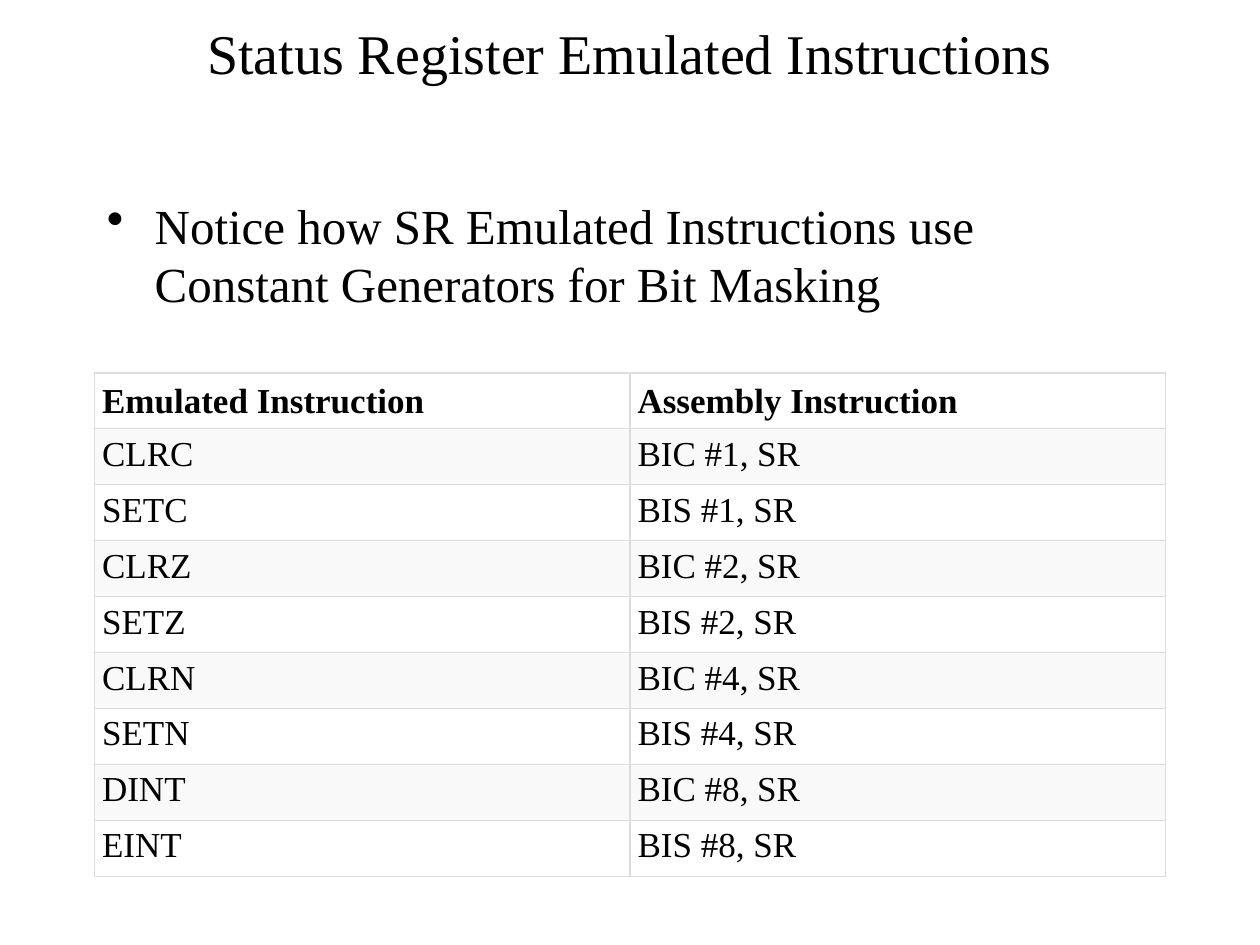
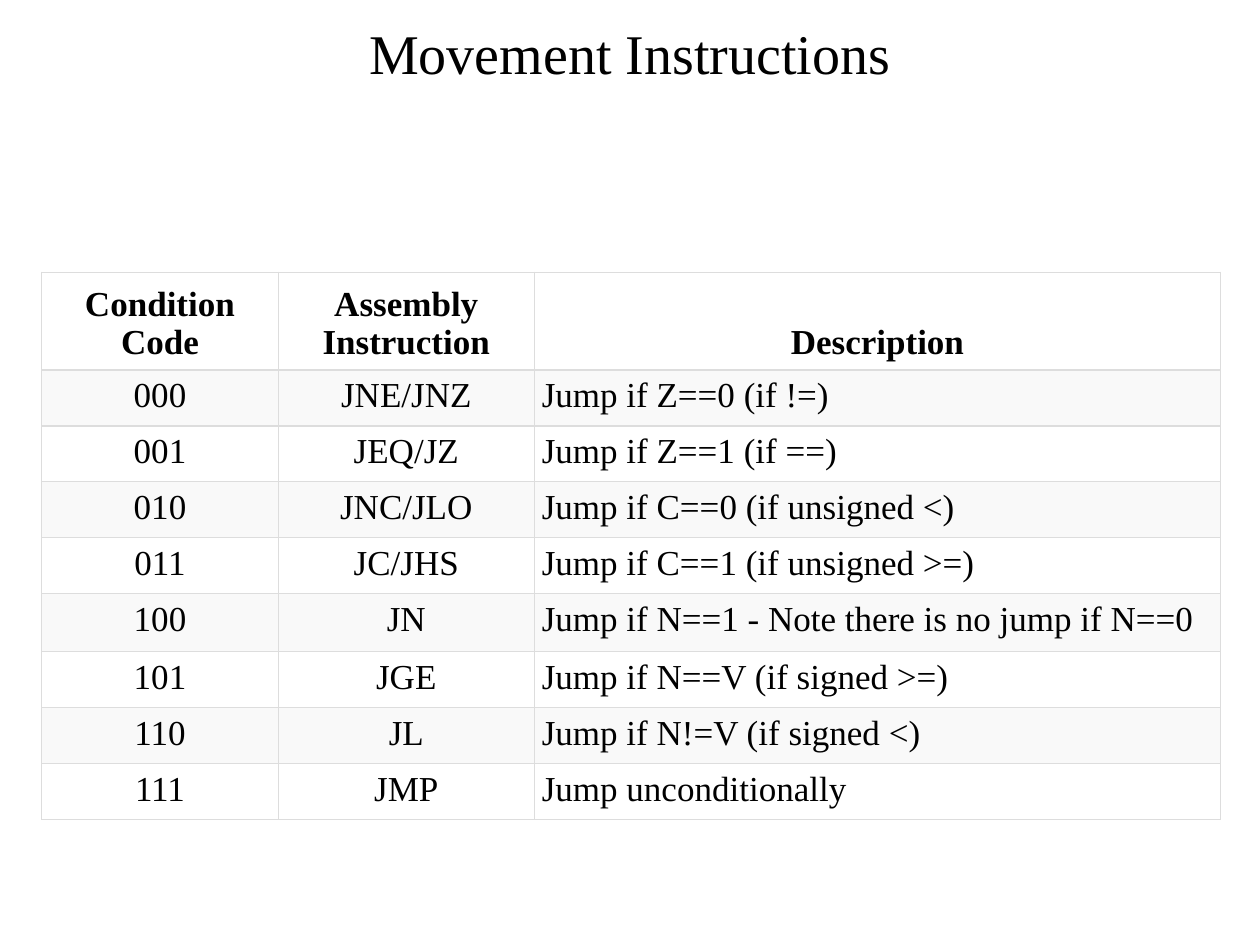
import pptx
import pptx.dml.color
import pptx.enum.text
import pptx.oxml
import pptx.oxml.ns
import pptx.util
from pptx.util import Inches

FONT = "Times New Roman"
BLACK, WHITE, STRIPE, BORDER = "000000", "FFFFFF", "F9F9F9", "DDDDDD"
LEFT = pptx.enum.text.PP_ALIGN.LEFT
CENTER = pptx.enum.text.PP_ALIGN.CENTER
TOP = pptx.enum.text.MSO_ANCHOR.TOP
MIDDLE = pptx.enum.text.MSO_ANCHOR.MIDDLE
BOTTOM = pptx.enum.text.MSO_ANCHOR.BOTTOM

ROW_HEIGHT = 3.82 / 9
CELL_MARGIN, CELL_MARGIN_TOP = 0.06, 0.05
CONTENT_LEFT, CONTENT_WIDTH = 0.75, 8.5

STATUS_ROWS = [
    ("Emulated Instruction", "Assembly Instruction"),
    ("CLRC", "BIC #1, SR"),
    ("SETC", "BIS #1, SR"),
    ("CLRZ", "BIC #2, SR"),
    ("SETZ", "BIS #2, SR"),
    ("CLRN", "BIC #4, SR"),
    ("SETN", "BIS #4, SR"),
    ("DINT", "BIC #8, SR"),
    ("EINT", "BIS #8, SR"),
]

JUMP_ROWS = [
    ("Condition Code", "Assembly Instruction", "Description"),
    ("000", "JNE/JNZ", "Jump if Z==0 (if\u00a0!=)"),
    ("001", "JEQ/JZ", "Jump if Z==1 (if\u00a0==)"),
    ("010", "JNC/JLO", "Jump if C==0 (if unsigned\u00a0<)"),
    ("011", "JC/JHS", "Jump if C==1 (if unsigned\u00a0>=)"),
    ("100", "JN", "Jump if N==1 - Note there is no jump if N==0"),
    ("101", "JGE", "Jump if N==V (if signed\u00a0>=)"),
    ("110", "JL", "Jump if N!=V (if signed\u00a0<)"),
    ("111", "JMP", "Jump unconditionally"),
]


def color(hex_value):
    """Turn a hex string into a colour."""
    return pptx.dml.color.RGBColor.from_string(hex_value)


def write_text(text_frame, text, size, alignment=LEFT, bold=False):
    """Write one formatted paragraph and return it."""
    text_frame.text = text
    paragraph = text_frame.paragraphs[0]
    paragraph.alignment = alignment
    for run in paragraph.runs:
        run.font.name = FONT
        run.font.size = pptx.util.Pt(size)
        run.font.bold = bold
        run.font.color.rgb = color(BLACK)
    return paragraph


def add_text_box(slide, top, height, anchor):
    """Add a wrapping text box across the content width; return its frame."""
    shape = slide.shapes.add_textbox(
        Inches(CONTENT_LEFT), Inches(top), Inches(CONTENT_WIDTH), Inches(height))
    text_frame = shape.text_frame
    text_frame.word_wrap = True
    text_frame.vertical_anchor = anchor
    return text_frame


def add_titled_slide(presentation, title):
    """Add a blank slide with the shared centred title."""
    slide = presentation.slides.add_slide(presentation.slide_layouts[6])
    write_text(add_text_box(slide, 0.16, 0.5, MIDDLE), title, 32, CENTER)
    return slide


def add_bullet(slide, text):
    """Add the body text as one bullet with a hanging indent."""
    paragraph = write_text(add_text_box(slide, 1.5, 5.17, TOP), text, 28)
    paragraph.space_before = pptx.util.Pt(4)
    properties = paragraph._p.get_or_add_pPr()
    indent = Inches(0.38)
    properties.set("marL", str(indent))
    properties.set("indent", str(-indent))
    bullet = pptx.oxml.parse_xml(
        f'<a:buChar {pptx.oxml.ns.nsdecls("a")} char="\u2022"/>')
    properties.append(bullet)


def set_borders(cell):
    """Draw a thin border on all four sides of a cell."""
    properties = cell._tc.get_or_add_tcPr()
    for side in ("lnL", "lnR", "lnT", "lnB"):
        properties.append(pptx.oxml.parse_xml(
            f'<a:{side} {pptx.oxml.ns.nsdecls("a")} w="{pptx.util.Pt(0.75)}">'
            f'<a:solidFill><a:srgbClr val="{BORDER}"/></a:solidFill></a:{side}>'))


def format_cell(cell, text, alignment, is_header, fill):
    """Fill, border and write one table cell."""
    set_borders(cell)
    cell.fill.solid()
    cell.fill.fore_color.rgb = color(fill)
    cell.margin_left = cell.margin_right = cell.margin_bottom = Inches(CELL_MARGIN)
    cell.margin_top = Inches(CELL_MARGIN_TOP)
    cell.vertical_anchor = BOTTOM if is_header else TOP
    write_text(cell.text_frame, text, 20, alignment, is_header)


def add_striped_table(slide, left, top, rows, widths, row_heights,
                      header_alignment, alignments):
    """Add a table with a bold header and every other row shaded."""
    shape = slide.shapes.add_table(
        len(rows), len(widths), Inches(left), Inches(top),
        Inches(sum(widths)), Inches(sum(row_heights)))
    table = shape.table
    table.first_row = table.horz_banding = False
    for column, width in zip(table.columns, widths):
        column.width = Inches(width)
    for row_index, (values, height) in enumerate(zip(rows, row_heights)):
        table.rows[row_index].height = Inches(height)
        is_header = row_index == 0
        fill = STRIPE if row_index % 2 else WHITE
        for column_index, text in enumerate(values):
            alignment = header_alignment if is_header else alignments[column_index]
            format_cell(table.cell(row_index, column_index), text,
                        alignment, is_header, fill)


def main():
    """Build both slides and save the presentation."""
    presentation = pptx.Presentation()
    presentation.slide_width = Inches(10)
    presentation.slide_height = Inches(7.5)

    slide = add_titled_slide(presentation, "Status Register Emulated Instructions")
    add_striped_table(slide, CONTENT_LEFT, 2.96, STATUS_ROWS,
                      [CONTENT_WIDTH / 2] * 2, [ROW_HEIGHT] * len(STATUS_ROWS),
                      LEFT, [LEFT, LEFT])
    add_bullet(slide, "Notice how SR Emulated Instructions use "
                      "Constant Generators for Bit Masking")

    slide = add_titled_slide(presentation, "Movement Instructions")
    row_heights = [0.73] + [ROW_HEIGHT] * 4 + [0.46] + [ROW_HEIGHT] * 3
    add_striped_table(slide, 0.33, 2.16, JUMP_ROWS, [1.88, 2.03, 5.45],
                      row_heights, CENTER, [CENTER, CENTER, LEFT])

    presentation.save("out.pptx")


main()
